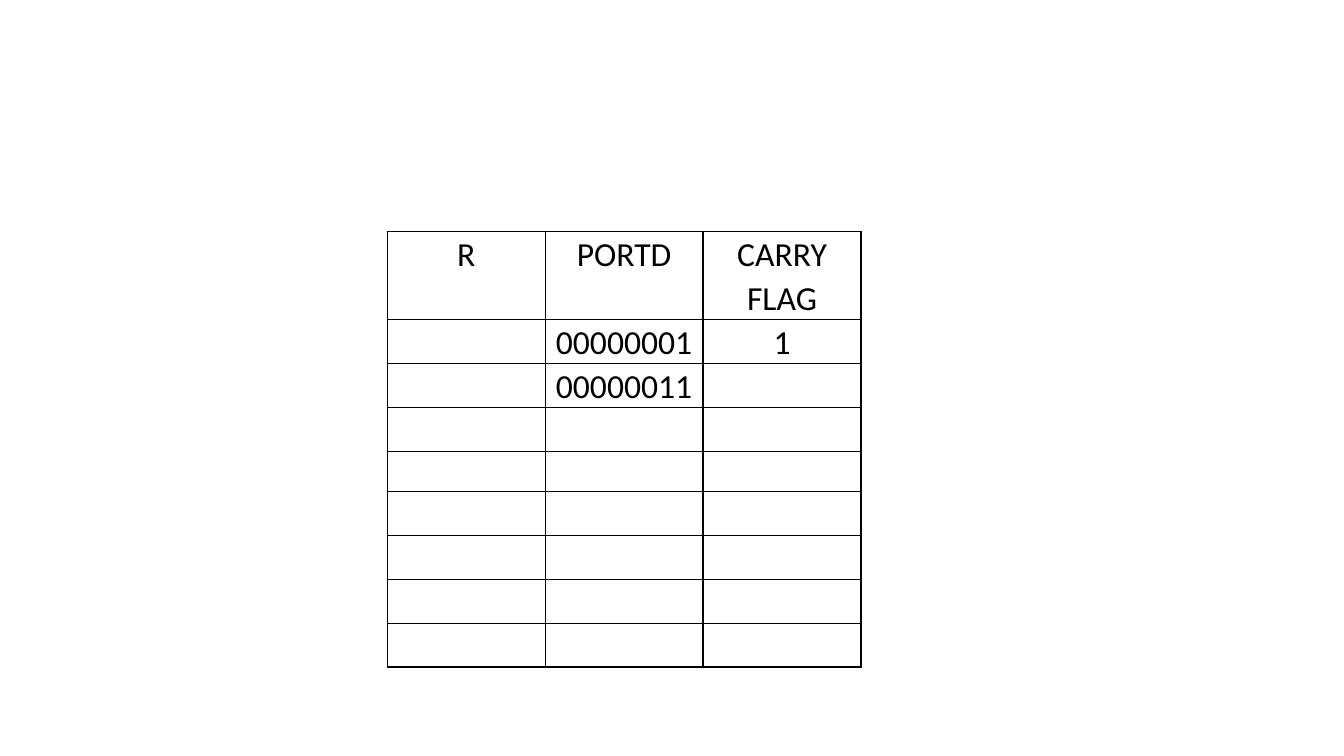
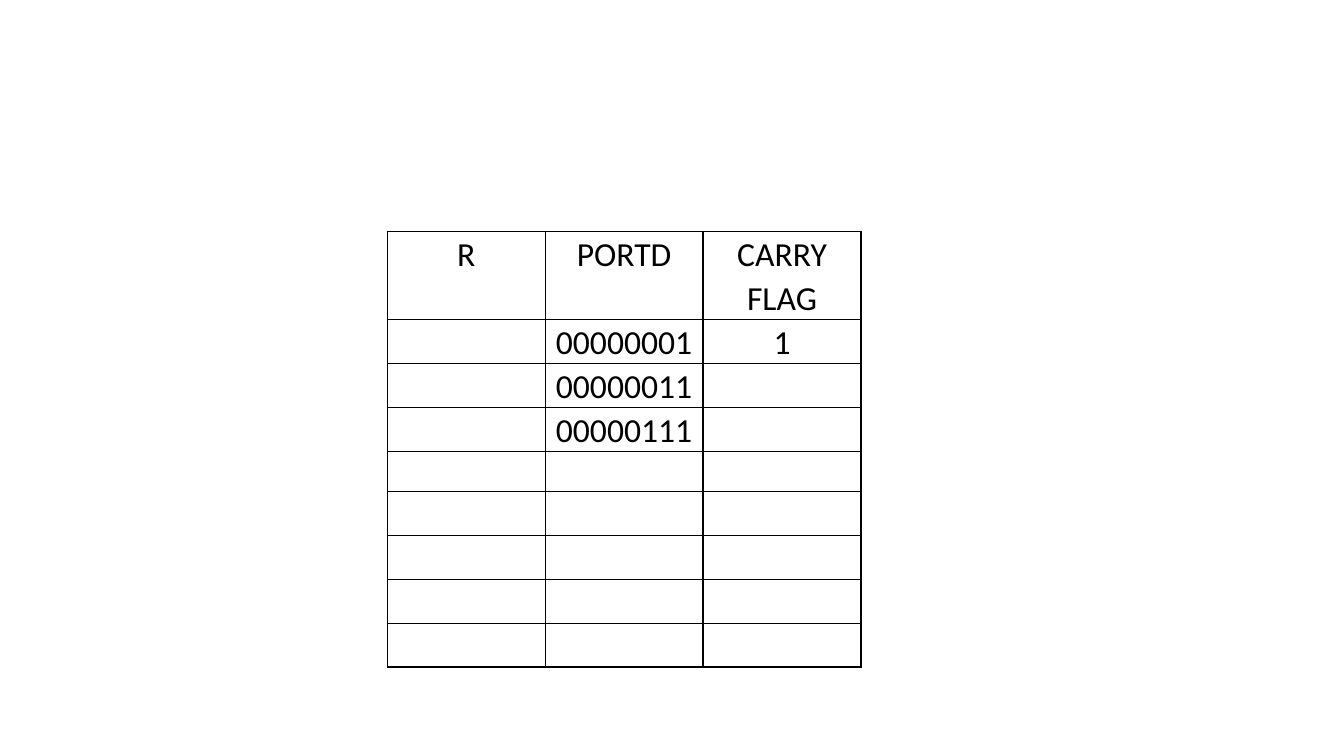
import pptx
import pptx.dml.color
import pptx.enum.text
import pptx.oxml.ns
import pptx.util
import lxml.etree

# Shared look
WIDTH, HEIGHT = 13.33, 7.5
FONT, SIZE, INK = "Calibri", 24, "000000"
SPACING = 1.07
LINE = SIZE * 1.22 * SPACING / 72  # height of one text line, inches
LEFT, TOP, TABLE_WIDTH = 3.84, 2.3, 4.7
ROW_HEIGHTS = [2 * LINE] + [LINE] * 3 + [0.4] + [LINE] * 4

# Table content
HEADER = ("R", "PORTD", "CARRY FLAG")
STEPS = [("", "00000001", "1"), ("", "00000011", ""), ("", "00000111", "")]


def color(value):
    return pptx.dml.color.RGBColor.from_string(value)


def write(tf, text, size=SIZE, font=FONT, ink=INK, bold=False):
    """Write one centred paragraph."""
    p = tf.paragraphs[0]
    p.alignment = pptx.enum.text.PP_ALIGN.CENTER
    p.line_spacing = SPACING
    p.space_after = pptx.util.Pt(8)
    r = p.add_run()
    r.text = text
    r.font.size = pptx.util.Pt(size)
    r.font.name = font
    r.font.bold = bold
    r.font.color.rgb = color(ink)


def style_cell(cell, ink=INK, weight=1):
    """Set insets, four borders and an empty fill."""
    cell.margin_left = cell.margin_right = pptx.util.Inches(0.07)
    cell.margin_top = cell.margin_bottom = 0
    qn = pptx.oxml.ns.qn
    props = cell._tc.get_or_add_tcPr()
    for side in ("lnL", "lnR", "lnT", "lnB"):
        ln = lxml.etree.SubElement(props, qn(f"a:{side}"), w=str(pptx.util.Pt(weight)))
        fill = lxml.etree.SubElement(ln, qn("a:solidFill"))
        lxml.etree.SubElement(fill, qn("a:srgbClr"), val=ink)
    cell.fill.background()


def add_register_table(s, filled):
    """Add the table with the header and the filled rows; the rest stay empty."""
    rows = [HEADER, *filled]
    frame = s.shapes.add_table(
        len(ROW_HEIGHTS), len(HEADER),
        *map(pptx.util.Inches, (LEFT, TOP, TABLE_WIDTH, sum(ROW_HEIGHTS))))
    table = frame.table
    table.first_row = table.horz_banding = False
    for column in table.columns:
        column.width = pptx.util.Inches(TABLE_WIDTH / len(HEADER))
    for row, height in zip(table.rows, ROW_HEIGHTS):
        row.height = pptx.util.Inches(height)
    for cell in table.iter_cells():
        style_cell(cell)
    for i, texts in enumerate(rows):
        for j, text in enumerate(texts):
            if text:
                write(table.cell(i, j).text_frame, text)


def main():
    prs = pptx.Presentation()
    prs.slide_width = pptx.util.Inches(WIDTH)
    prs.slide_height = pptx.util.Inches(HEIGHT)
    # Each slide shows one more step
    for count in (2, 3):
        s = prs.slides.add_slide(prs.slide_layouts[6])
        add_register_table(s, STEPS[:count])
    prs.save("out.pptx")


if __name__ == "__main__":
    main()
